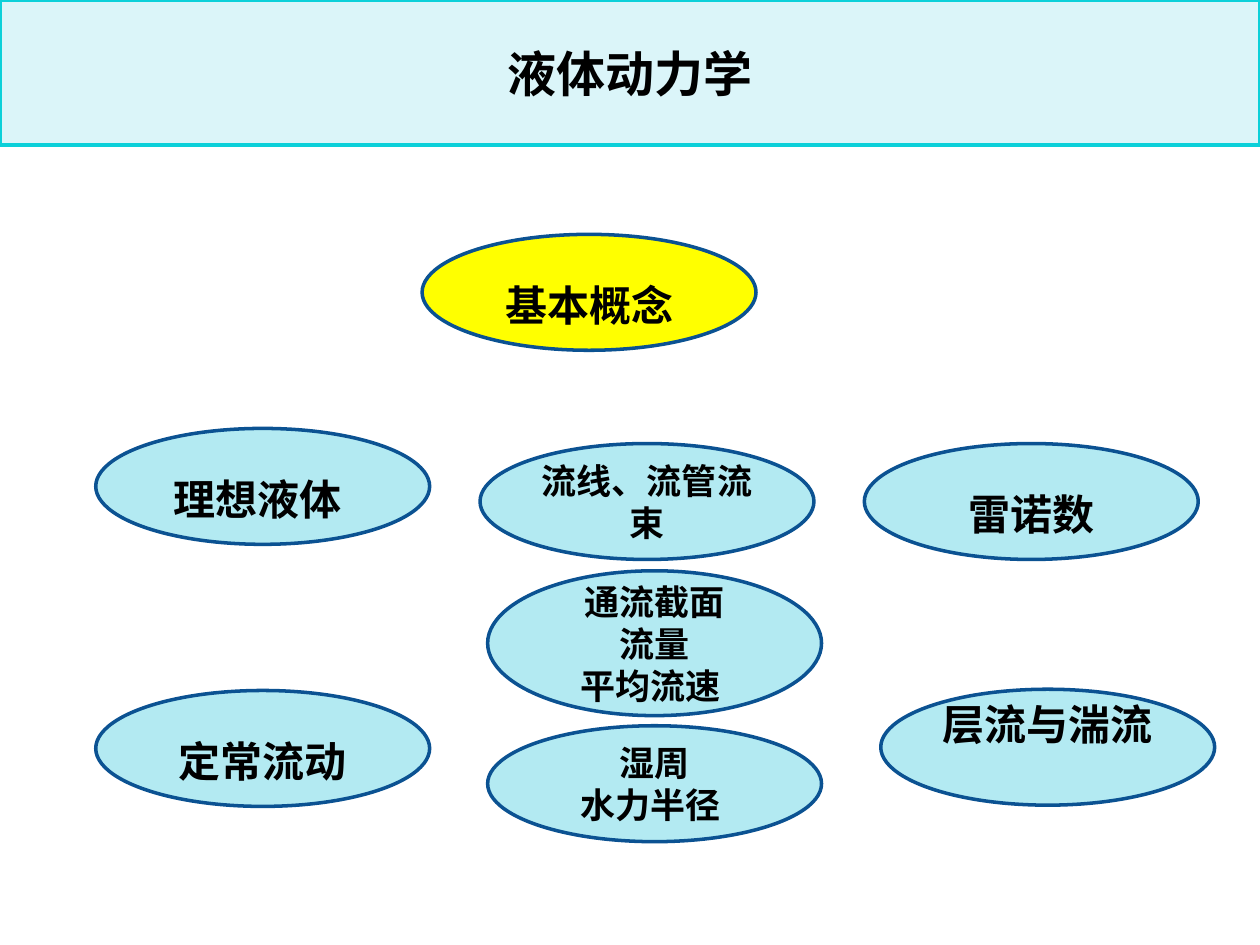
from dataclasses import dataclass

from pptx import Presentation
from pptx import util as u
from pptx.dml.color import RGBColor
from pptx.enum import shapes, text


@dataclass(frozen=True)
class Theme:
    font: str = "Noto Sans CJK SC"
    ink: str = "000000"
    banner: str = "DBF5F9"
    banner_edge: str = "0BD0D9"
    root: str = "FFFF00"
    node: str = "B3EAF2"
    edge: str = "0B5292"
    title_size: int = 28
    topic_size: int = 24
    detail_size: int = 20
    line_width: int = 2


THEME = Theme()
WIDTH, HEIGHT = 10, 7.5
BANNER_HEIGHT = 1.15
NODE_WIDTH, NODE_HEIGHT = 2.65, 0.92

TITLE = "液体动力学"
TOPIC = dict(size=THEME.topic_size, spacing=1.5)
DETAIL = dict(size=THEME.detail_size)
RAISED = dict(size=THEME.topic_size, side_inset=0.05, bottom_inset=0.43)

# lines, left, top, height, fill, text format
NODES = [
    (["基本概念"], 3.35, 1.86, NODE_HEIGHT, THEME.root, TOPIC),
    (["理想液体 "], 0.76, 3.4, NODE_HEIGHT, THEME.node, TOPIC),
    (["定常流动"], 0.76, 5.48, NODE_HEIGHT, THEME.node, TOPIC),
    (["湿周", "水力半径 "], 3.87, 5.76, NODE_HEIGHT, THEME.node, DETAIL),
    (["雷诺数"], 6.86, 3.52, NODE_HEIGHT, THEME.node, TOPIC),
    (["层流与湍流"], 6.99, 5.47, NODE_HEIGHT, THEME.node, RAISED),
    (["流线、流管流束"], 3.81, 3.52, NODE_HEIGHT, THEME.node, DETAIL),
    (["通流截面", "流量", "平均流速 "], 3.87, 4.53, 1.15, THEME.node, DETAIL),
]


def write(shape, lines, size, spacing=1.0, side_inset=0.1, bottom_inset=0.05):
    frame = shape.text_frame
    frame.word_wrap = True
    frame.vertical_anchor = text.MSO_ANCHOR.MIDDLE
    frame.margin_left = frame.margin_right = u.Inches(side_inset)
    frame.margin_bottom = u.Inches(bottom_inset)
    for index, line in enumerate(lines):
        para = frame.add_paragraph() if index else frame.paragraphs[0]
        para.alignment = text.PP_ALIGN.CENTER
        para.line_spacing = spacing
        span = para.add_run()
        span.text = line
        span.font.name = THEME.font
        span.font.size = u.Pt(size)
        span.font.bold = True
        span.font.color.rgb = RGBColor.from_string(THEME.ink)
        properties = span.font._element
        east_asian = properties.makeelement(
            properties.tag.replace("rPr", "ea"), {"typeface": THEME.font})
        properties.find(properties.tag.replace("rPr", "latin")).addnext(east_asian)


def add_box(page, kind, left, top, width, height, fill, edge):
    box = page.shapes.add_shape(kind, *map(u.Inches, (left, top, width, height)))
    box.shadow.inherit = False
    box.fill.solid()
    box.fill.fore_color.rgb = RGBColor.from_string(fill)
    box.line.color.rgb = RGBColor.from_string(edge)
    box.line.width = u.Pt(THEME.line_width)
    return box


def main():
    deck = Presentation()
    deck.slide_width, deck.slide_height = u.Inches(WIDTH), u.Inches(HEIGHT)
    page = deck.slides.add_slide(deck.slide_layouts[6])

    banner = add_box(page, shapes.MSO_SHAPE.RECTANGLE, 0, 0, WIDTH, BANNER_HEIGHT,
                     THEME.banner, THEME.banner_edge)
    write(banner, [TITLE], size=THEME.title_size)

    for lines, left, top, height, fill, text_format in NODES:
        node = add_box(page, shapes.MSO_SHAPE.OVAL, left, top, NODE_WIDTH, height,
                       fill, THEME.edge)
        write(node, lines, **text_format)

    deck.save("out.pptx")


if __name__ == "__main__":
    main()
